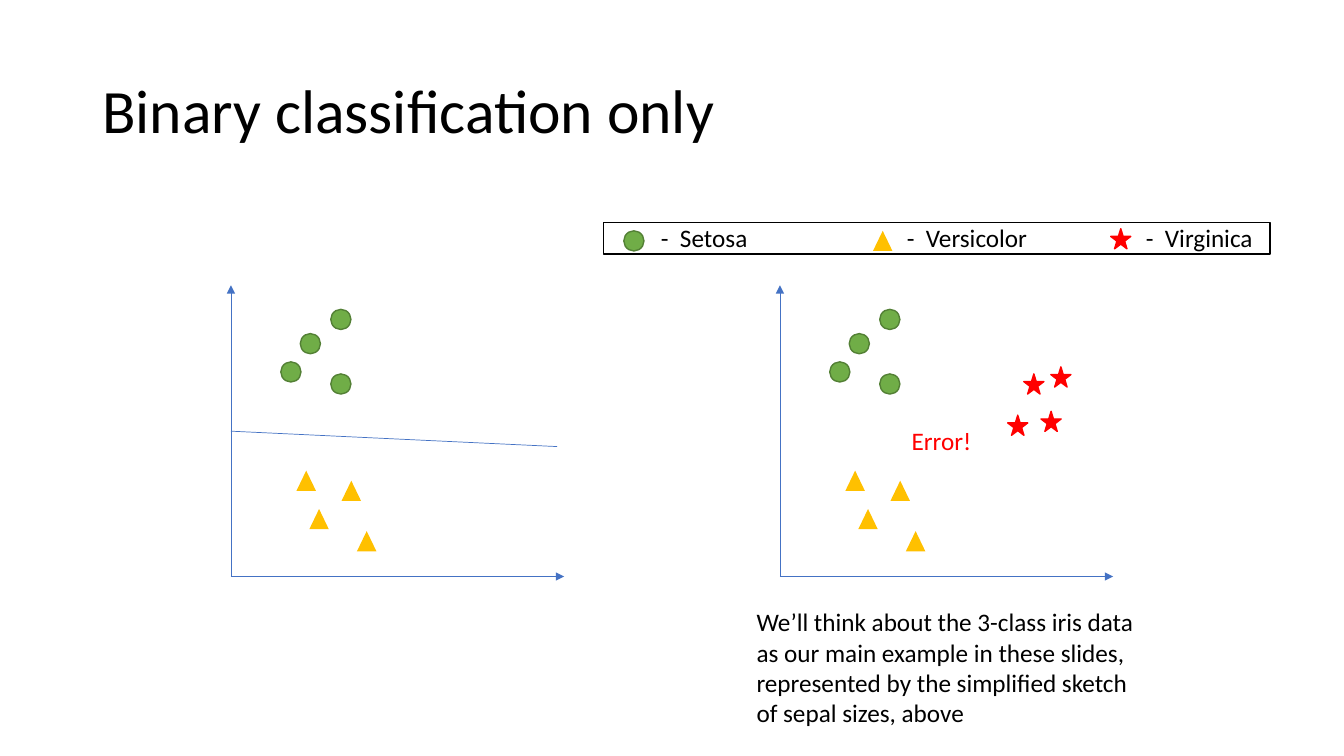
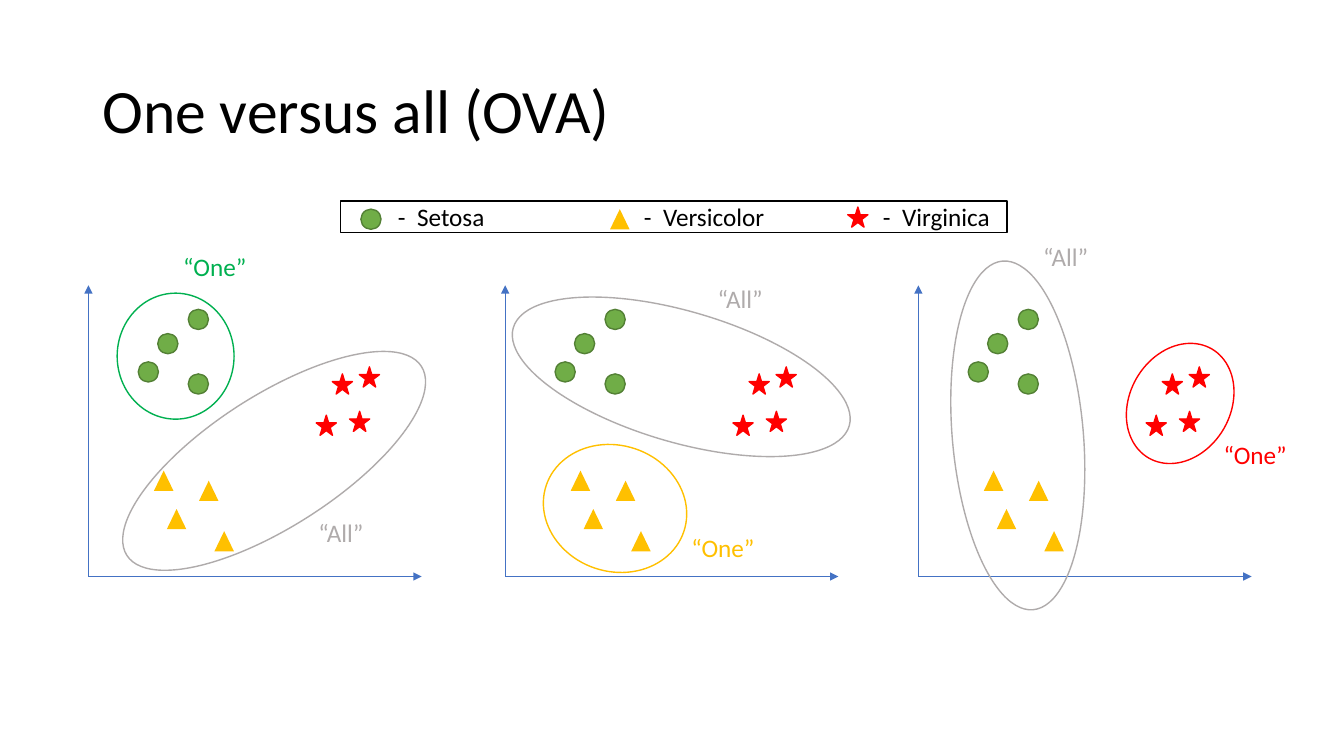
"""Build two slides on binary and one-versus-all classification."""
from lxml import etree
from pptx import Presentation
from pptx.dml.color import RGBColor
from pptx.enum.shapes import MSO_CONNECTOR, MSO_SHAPE
from pptx.enum.text import MSO_ANCHOR, PP_ALIGN
from pptx.oxml.ns import qn
from pptx.util import Pt

CIRCLE, TRIANGLE = MSO_SHAPE.OVAL, MSO_SHAPE.ISOSCELES_TRIANGLE
STAR, RECTANGLE = MSO_SHAPE.STAR_5_POINT, MSO_SHAPE.RECTANGLE
STRAIGHT = MSO_CONNECTOR.STRAIGHT
MIDDLE, CENTER, LEFT = MSO_ANCHOR.MIDDLE, PP_ALIGN.CENTER, PP_ALIGN.LEFT

FONT = "Calibri"
BLACK, BLUE, GRAY = "000000", "4472C4", "AFABAB"
GREEN, YELLOW, RED = "00B050", "FFC000", "FF0000"

SPECIES = {
    "Versicolor": dict(geometry=TRIANGLE, size=(13.9, 14.4), fill=YELLOW, outline=None),
    "Setosa": dict(geometry=CIRCLE, size=(14.4, 14.4), fill="70AD47", outline="538035"),
    "Virginica": dict(geometry=STAR, size=(14.4, 14.4), fill=RED, outline=RED),
}
SAMPLES = {
    "Versicolor": [(46.8, 336.2), (79, 343.4), (56, 363.6), (90, 379.4)],
    "Setosa": [(71.3, 221), (49.5, 238.3), (35.6, 258.5), (71.3, 267.1)],
    "Virginica": [(174.2, 267.1), (162.7, 296.6), (186.5, 293.8), (193.5, 262.1)],
}
AXIS_TOP, AXIS_BASE, AXIS_LENGTH = 203.8, 411.8, 238

LEGEND_SIZE = (476, 22.3)
LEGEND_ENTRIES = [
    ("Setosa", (14.4, 5.8), 33.8),
    ("Versicolor", (192.4, 5.8), 209.5),
    ("Virginica", (362.2, 4.3), 380.2),
]
LABEL_RISE, LABEL_SIZE, LABEL_TAB = 3.6, (122.4, 29), 13.65

TWO_CLASSES = ["Versicolor", "Setosa"]
SLIDES = [
    dict(
        title="Binary classification only",
        legend=(431.2, 159.1),
        plots=[(165, TWO_CLASSES), (557.1, list(SPECIES))],
        boundaries=[(165, 308, 398, 319)],
        circled=[],
        notes=[
            ("Error!", (643, 300.2, 59, 30), RED, CENTER),
            ("We’ll think about the 3-class iris data as our main example in these slides, "
             "represented by the simplified sketch of sepal sizes, above",
             (533.3, 429.8, 285, 94.3), BLACK, LEFT),
        ],
    ),
    dict(
        title="One versus all (OVA)",
        legend=(243.4, 143.6),
        plots=[(x, list(SPECIES)) for x in (63.2, 360.9, 656)],
        boundaries=[],
        circled=[
            ((83.7, 209.4, 83.5, 90), 0, GREEN),
            ((387.5, 318.2, 103.7, 90), 18.5, YELLOW),
            ((807, 243.2, 72, 90), 30, RED),
            ((70.8, 282.4, 250, 93.6), 327.3, GRAY),
            ((602, 264.2, 250, 93.6), 85, GRAY),
            ((361.6, 222.4, 250, 93.6), 16.3, GRAY),
        ],
        notes=[
            ("“One”", (123.8, 175.7, 68, 29), GREEN, LEFT),
            ("“All”", (220.3, 365.8, 68, 29), GRAY, LEFT),
            ("“One”", (486.7, 376.8, 68, 29), YELLOW, LEFT),
            ("“One”", (866.9, 310.3, 79, 29), RED, LEFT),
            ("“All”", (505.5, 198.7, 68, 29), GRAY, LEFT),
            ("“All”", (738, 168.6, 68, 29), GRAY, LEFT),
        ],
    ),
]


def color(value):
    return RGBColor.from_string(value)


def add_text(shapes, text, box, tint=BLACK, align=LEFT, size=18):
    frame = shapes.add_textbox(*map(Pt, box)).text_frame
    frame.word_wrap = True
    paragraph = frame.paragraphs[0]
    paragraph.text = text
    paragraph.alignment = align
    paragraph.font.name = FONT
    paragraph.font.size = Pt(size)
    paragraph.font.color.rgb = color(tint)
    return frame


def add_figure(shapes, geometry, box, fill=None, outline=None, turn=0):
    figure = shapes.add_shape(geometry, *map(Pt, box))
    figure.shadow.inherit = False
    figure.rotation = turn
    if fill:
        figure.fill.solid()
        figure.fill.fore_color.rgb = color(fill)
    else:
        figure.fill.background()
    if outline:
        figure.line.color.rgb = color(outline)
        figure.line.width = Pt(1)
    else:
        figure.line.fill.background()


def add_line(shapes, ends, arrow=False):
    line = shapes.add_connector(STRAIGHT, *map(Pt, ends))
    line.line.color.rgb = color(BLUE)
    line.line.width = Pt(0.5)
    if arrow:
        etree.SubElement(line.line._get_or_add_ln(), qn("a:tailEnd"), type="triangle")
    etree.SubElement(line._element.spPr, qn("a:effectLst"))


def add_sample(shapes, species, left, top):
    look = SPECIES[species]
    add_figure(shapes, look["geometry"], (left, top, *look["size"]),
               look["fill"], look["outline"])


def add_plot(slide, origin, classes):
    shapes = slide.shapes.add_group_shape().shapes
    for end in ((origin, AXIS_TOP), (origin + AXIS_LENGTH, AXIS_BASE)):
        add_line(shapes, (origin, AXIS_BASE, *end), arrow=True)
    for species in classes:
        for x, top in SAMPLES[species]:
            add_sample(shapes, species, origin + x, top)


def add_legend(slide, left, top):
    shapes = slide.shapes.add_group_shape().shapes
    for species, (x, y), label_x in LEGEND_ENTRIES:
        add_sample(shapes, species, left + x, top + y)
        label = add_text(shapes, f"-\t{species}",
                         (left + label_x, top - LABEL_RISE, *LABEL_SIZE))
        tabs = etree.Element(qn("a:tabLst"))
        etree.SubElement(tabs, qn("a:tab"), pos=str(Pt(LABEL_TAB)), algn="l")
        label.paragraphs[0]._p.get_or_add_pPr().insert(0, tabs)
    add_figure(shapes, RECTANGLE, (left, top, *LEGEND_SIZE), outline=BLACK)


def add_slide(deck, content):
    slide = deck.slides.add_slide(deck.slide_layouts[6])
    title = add_text(slide.shapes, content["title"], (66, 28.8, 828, 104.4), size=44)
    title.vertical_anchor = MIDDLE
    title.paragraphs[0].line_spacing = 0.9
    for origin, classes in content["plots"]:
        add_plot(slide, origin, classes)
    for ends in content["boundaries"]:
        add_line(slide.shapes, ends)
    for box, turn, outline in content["circled"]:
        add_figure(slide.shapes, CIRCLE, box, outline=outline, turn=turn)
    for note in content["notes"]:
        add_text(slide.shapes, *note)
    add_legend(slide, *content["legend"])


def main():
    deck = Presentation()
    deck.slide_width, deck.slide_height = Pt(960), Pt(540)
    for content in SLIDES:
        add_slide(deck, content)
    deck.save("out.pptx")


if __name__ == "__main__":
    main()
